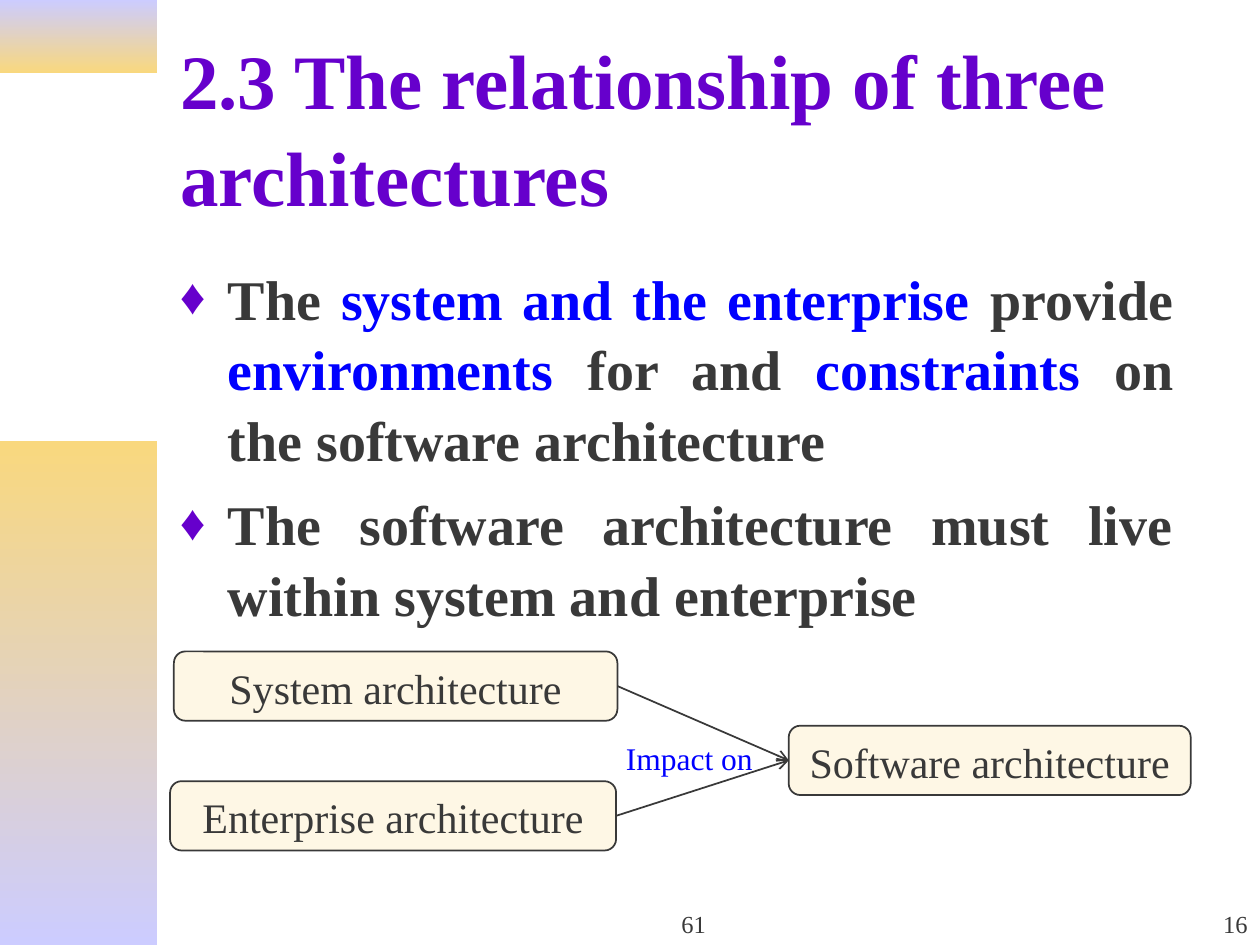
import dataclasses

import lxml.etree
import pptx
import pptx.dml.color
import pptx.enum.shapes
import pptx.enum.text
import pptx.oxml.ns
import pptx.util

Inches = pptx.util.Inches
Align = pptx.enum.text.PP_ALIGN
Anchor = pptx.enum.text.MSO_ANCHOR


@dataclasses.dataclass(frozen=True)
class Theme:
    font: str = "Times New Roman"
    title: str = "6600CC"
    ink: str = "393939"
    accent: str = "0000FF"
    box: str = "FEF7E5"
    lavender: str = "CCCCFF"
    gold: str = "F9D87E"
    title_size: int = 44
    body_size: int = 32
    box_size: int = 24
    label_size: int = 18
    footer_size: int = 14
    line_spacing: float = 1.05


THEME = Theme()


def rgb(value):
    return pptx.dml.color.RGBColor.from_string(value)


def add_element(parent, tag, **attributes):
    return lxml.etree.SubElement(parent, pptx.oxml.ns.qn(tag), attributes)


def add_span(para, text, size, color=THEME.ink, bold=False):
    span = para.add_run()
    span.text = text
    span.font.name = THEME.font
    span.font.size = pptx.util.Pt(size)
    span.font.bold = bold
    span.font.color.rgb = rgb(color)


def write_text(shape, text, size, color=THEME.ink, bold=False,
               align=Align.LEFT, anchor=Anchor.TOP, wrap=True):
    frame = shape.text_frame
    frame.word_wrap = wrap
    frame.auto_size = pptx.enum.text.MSO_AUTO_SIZE.NONE
    frame.vertical_anchor = anchor
    para = frame.paragraphs[0]
    para.alignment = align
    para.line_spacing = THEME.line_spacing
    add_span(para, text, size, color, bold)


def add_label(page, text, left, top, width, height, **text_format):
    label = page.shapes.add_textbox(*map(Inches, (left, top, width, height)))
    write_text(label, text, **text_format)


def add_title(page, text):
    title = page.shapes.title
    title.left, title.top = Inches(1.33), Inches(0.33)
    title.width, title.height = Inches(8.5), Inches(1.32)
    write_text(title, text, THEME.title_size, THEME.title, bold=True,
               anchor=Anchor.MIDDLE)


def add_gradient_band(page, top, height, start, end):
    band = page.shapes.add_shape(
        pptx.enum.shapes.MSO_SHAPE.RECTANGLE,
        Inches(0), Inches(top), Inches(1.25), Inches(height))
    band.shadow.inherit = False
    band.line.fill.background()
    band.fill.gradient()
    band.fill.gradient_angle = 270
    for stop, color in zip(band.fill.gradient_stops, (start, end)):
        stop.color.rgb = rgb(color)


def add_bullet(para):
    properties = para._p.get_or_add_pPr()
    properties.set("marL", str(Inches(0.38)))
    properties.set("indent", str(-Inches(0.38)))
    bullet_color = add_element(properties, "a:buClr")
    add_element(bullet_color, "a:srgbClr", val=THEME.title)
    add_element(properties, "a:buSzPct", val="90000")
    add_element(properties, "a:buFont", typeface=THEME.font)
    add_element(properties, "a:buChar", char="♦")


def add_bullets(page, items):
    body = page.shapes.add_textbox(
        Inches(1.33), Inches(2.02), Inches(8.08), Inches(3.07))
    frame = body.text_frame
    frame.word_wrap = True
    for index, spans in enumerate(items):
        para = frame.add_paragraph() if index else frame.paragraphs[0]
        add_bullet(para)
        para.alignment = Align.JUSTIFY
        para.line_spacing = THEME.line_spacing
        if index:
            para.space_before = pptx.util.Pt(8)
        for text, color in spans:
            add_span(para, text, THEME.body_size, color, bold=True)


def add_architecture(page, text, left, top, width):
    box = page.shapes.add_shape(
        pptx.enum.shapes.MSO_SHAPE.ROUNDED_RECTANGLE,
        Inches(left), Inches(top), Inches(width), Inches(0.55))
    box.shadow.inherit = False
    box.fill.solid()
    box.fill.fore_color.rgb = rgb(THEME.box)
    box.line.color.rgb = rgb(THEME.ink)
    box.line.width = pptx.util.Pt(1)
    write_text(box, text, THEME.box_size, align=Align.CENTER,
               anchor=Anchor.MIDDLE, wrap=False)
    return box


def add_arrow(page, source, target):
    arrow = page.shapes.add_connector(
        pptx.enum.shapes.MSO_CONNECTOR.STRAIGHT,
        source.left + source.width, source.top + source.height // 2,
        target.left, target.top + target.height // 2)
    arrow.line.color.rgb = rgb(THEME.ink)
    arrow.line.width = pptx.util.Pt(1)
    add_element(arrow.line._get_or_add_ln(), "a:tailEnd", type="arrow")
    add_element(arrow._element.spPr, "a:effectLst")


def main():
    deck = pptx.Presentation()
    deck.slide_width, deck.slide_height = Inches(10), Inches(7.5)
    page = deck.slides.add_slide(deck.slide_layouts[5])

    add_gradient_band(page, 0, 0.58, THEME.lavender, THEME.gold)
    add_gradient_band(page, 3.5, 4, THEME.gold, THEME.lavender)
    add_title(page, "2.3 The relationship of three architectures")
    add_bullets(page, [
        [("The ", THEME.ink),
         ("system and the enterprise ", THEME.accent),
         ("provide ", THEME.ink),
         ("environments", THEME.accent),
         (" for and ", THEME.ink),
         ("constraints", THEME.accent),
         (" on the software architecture", THEME.ink)],
        [("The software architecture must live within system and enterprise",
          THEME.ink)],
    ])

    add_label(page, "61", 3.92, 7, 3.17, 0.5, size=THEME.footer_size,
              align=Align.CENTER, anchor=Anchor.BOTTOM)
    add_label(page, "16", 7.92, 7, 2.08, 0.5, size=THEME.footer_size,
              align=Align.RIGHT, anchor=Anchor.BOTTOM)

    system = add_architecture(page, "System architecture", 1.38, 5.17, 3.52)
    enterprise = add_architecture(
        page, "Enterprise architecture", 1.35, 6.2, 3.54)
    software = add_architecture(
        page, "Software architecture", 6.26, 5.76, 3.19)
    for source in (system, enterprise):
        add_arrow(page, source, software)
    add_label(page, "Impact on", 4.87, 5.8, 1.2, 0.4, size=THEME.label_size,
              color=THEME.accent, wrap=False)

    deck.save("out.pptx")


if __name__ == "__main__":
    main()
